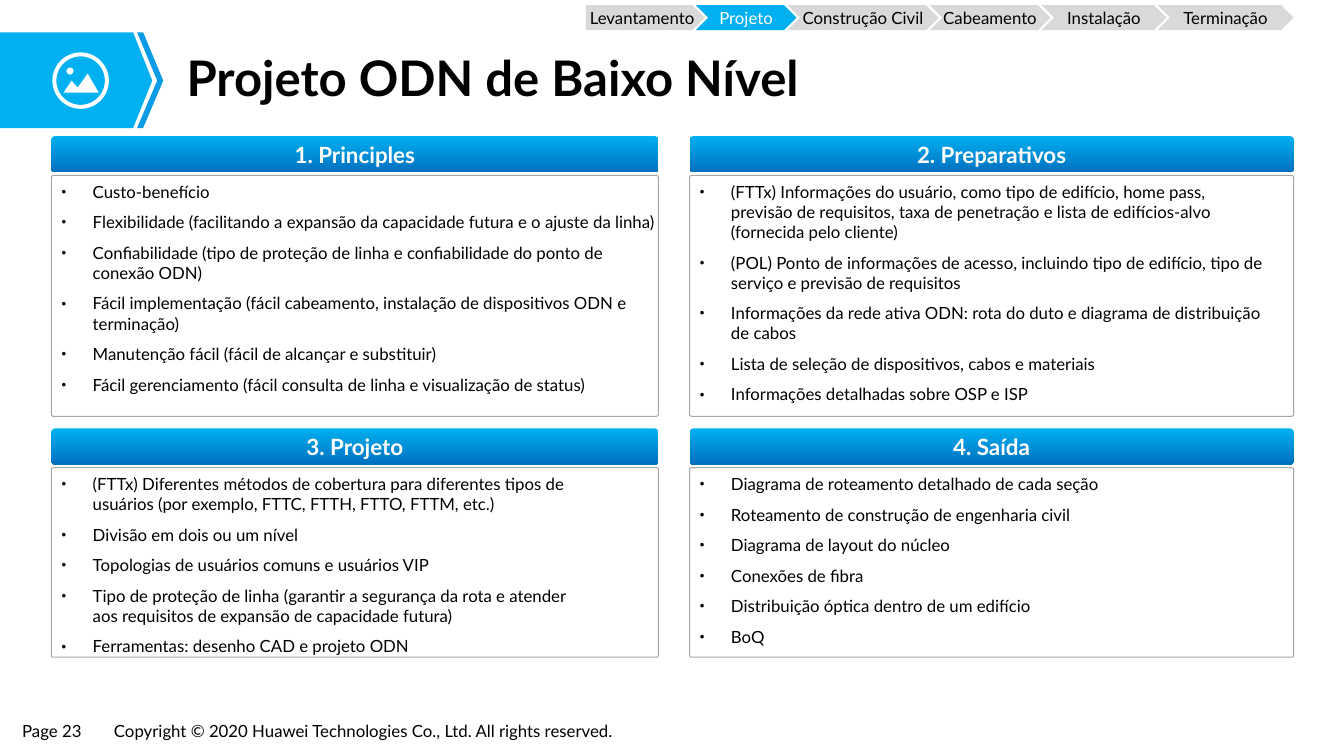
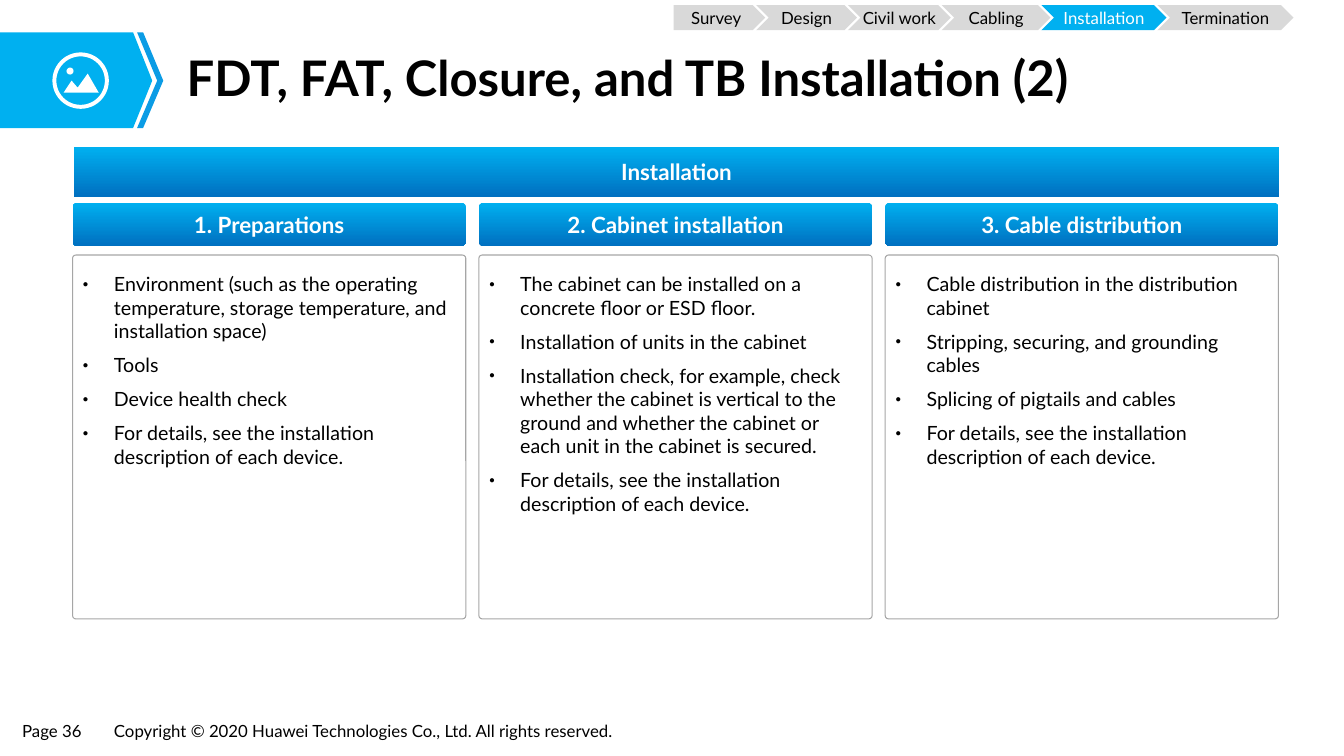
import pptx
import pptx.dml.color
import pptx.enum.shapes
import pptx.enum.text
import pptx.oxml.ns
import pptx.util
from lxml import etree

Inches = pptx.util.Inches
Pt = pptx.util.Pt
SHAPE = pptx.enum.shapes.MSO_SHAPE
ALIGN = pptx.enum.text.PP_ALIGN
ANCHOR = pptx.enum.text.MSO_ANCHOR

FONT = "Lato"
BLACK, WHITE = "000000", "FFFFFF"
SKY, SKY_EDGE, DEEP_BLUE = "00B0F0", "0B9CE5", "0070C0"
STEP_GREY, PANEL_GREY = "D9D9D9", "A6A6A6"
COMPARISON_LAYOUT = 4

STEP_OVERLAP = 0.09
LIST_INDENT = 0.31

COPYRIGHT = "Copyright © 2020 Huawei Technologies Co., Ltd. All rights reserved."

PROJECT_STEPS = [("Levantamento", 1.18), ("Projeto", 1), ("Construção Civil", 1.5),
                 ("Cabeamento", 1.2), ("Instalação", 1.24), ("Terminação", 1.35)]
INSTALLATION_STEPS = [("Survey", 0.91), ("Design", 1), ("Civil work", 1.02),
                      ("Cabling", 1.08), ("Installation", 1.24), ("Termination", 1.35)]

# Each card: heading, width of its list, list items
PROJECT_CARDS = [
    ("1. Principles", 6.15, [
        "Custo-benefício",
        "Flexibilidade (facilitando a expansão da capacidade futura e o ajuste da linha)",
        "Confiabilidade (tipo de proteção de linha e confiabilidade do ponto de conexão ODN)",
        "Fácil implementação (fácil cabeamento, instalação de dispositivos ODN e terminação)",
        "Manutenção fácil (fácil de alcançar e substituir)",
        "Fácil gerenciamento (fácil consulta de linha e visualização de status)",
    ]),
    ("2. Preparativos", 5.84, [
        "(FTTx) Informações do usuário, como tipo de edifício, home pass, previsão de "
        "requisitos, taxa de penetração e lista de edifícios-alvo (fornecida pelo cliente)",
        "(POL) Ponto de informações de acesso, incluindo tipo de edifício, tipo de serviço "
        "e previsão de requisitos",
        "Informações da rede ativa ODN: rota do duto e diagrama de distribuição de cabos",
        "Lista de seleção de dispositivos, cabos e materiais",
        "Informações detalhadas sobre OSP e ISP",
    ]),
    ("3. Projeto", 5.47, [
        "(FTTx) Diferentes métodos de cobertura para diferentes tipos de usuários "
        "(por exemplo, FTTC, FTTH, FTTO, FTTM, etc.)",
        "Divisão em dois ou um nível",
        "Topologias de usuários comuns e usuários VIP",
        "Tipo de proteção de linha (garantir a segurança da rota e atender aos requisitos "
        "de expansão de capacidade futura)",
        "Ferramentas: desenho CAD e projeto ODN",
    ]),
    ("4. Saída", 5.84, [
        "Diagrama de roteamento detalhado de cada seção",
        "Roteamento de construção de engenharia civil",
        "Diagrama de layout do núcleo",
        "Conexões de fibra",
        "Distribuição óptica dentro de um edifício",
        "BoQ",
    ]),
]
SEE_DETAILS = "For details, see the installation description of each device."
INSTALLATION_CARDS = [
    ("1. Preparations", 3.86, [
        "Environment (such as the operating temperature, storage temperature, and "
        "installation space)",
        "Tools",
        "Device health check",
        SEE_DETAILS,
    ]),
    ("2. Cabinet installation", 3.86, [
        "The cabinet can be installed on a concrete floor or ESD floor.",
        "Installation of units in the cabinet",
        "Installation check, for example, check whether the cabinet is vertical to the "
        "ground and whether the cabinet or each unit in the cabinet is secured.",
        SEE_DETAILS,
    ]),
    ("3. Cable distribution", 3.86, [
        "Cable distribution in the distribution cabinet",
        "Stripping, securing, and grounding cables",
        "Splicing of pigtails and cables",
        SEE_DETAILS,
    ]),
]


def rgb(color):
    return pptx.dml.color.RGBColor.from_string(color)


def add_bullet(para):
    properties = para._p.get_or_add_pPr()
    properties.set("marL", str(Inches(LIST_INDENT)))
    properties.set("indent", str(-Inches(LIST_INDENT)))
    for tag, name, value in (("a:buSzPct", "val", "50000"),
                             ("a:buFont", "typeface", "Arial"),
                             ("a:buChar", "char", "●")):
        etree.SubElement(properties, pptx.oxml.ns.qn(tag)).set(name, value)


def write_text(shape, lines, *, size=12, color=BLACK, bold=False, align=ALIGN.LEFT,
               anchor=ANCHOR.TOP, margins=(0.1, 0.05), wrap=True, bullets=False,
               space_before=0, line_spacing=1.0):
    """Fill a shape with one paragraph per line, all in one format."""
    frame = shape.text_frame
    frame.auto_size = pptx.enum.text.MSO_AUTO_SIZE.NONE
    frame.word_wrap = wrap
    frame.vertical_anchor = anchor
    frame.margin_left = frame.margin_right = Inches(margins[0])
    frame.margin_top = frame.margin_bottom = Inches(margins[1])
    for index, line in enumerate(lines):
        para = frame.add_paragraph() if index else frame.paragraphs[0]
        if bullets:
            add_bullet(para)
        para.alignment = align
        para.line_spacing = line_spacing
        para.space_before = Pt(space_before if index else 0)
        span = para.add_run()
        span.text = line
        span.font.name = FONT
        span.font.size = Pt(size)
        span.font.bold = bold
        span.font.color.rgb = rgb(color)


def place(shape, left, top, width, height):
    shape.left, shape.top = Inches(left), Inches(top)
    shape.width, shape.height = Inches(width), Inches(height)


def paint(shape, fill):
    shape.shadow.inherit = False
    shape.line.fill.background()
    shape.fill.solid()
    shape.fill.fore_color.rgb = rgb(fill)


def add_preset(slide, kind, left, top, width, height, fill, corner=None):
    shape = slide.shapes.add_shape(kind, Inches(left), Inches(top),
                                   Inches(width), Inches(height))
    paint(shape, fill)
    if corner is not None:
        shape.adjustments[0] = corner
    return shape


def add_outline(slide, points, fill):
    start, *others = [(Inches(x), Inches(y)) for x, y in points]
    builder = slide.shapes.build_freeform(*start)
    builder.add_line_segments(others, close=True)
    paint(builder.convert_to_shape(), fill)


def add_gradient_bar(slide, text, left, top, width, height, rounded=True):
    kind, corner = (SHAPE.ROUNDED_RECTANGLE, 0.106) if rounded else (SHAPE.RECTANGLE, None)
    bar = add_preset(slide, kind, left, top, width, height, SKY, corner)
    bar.fill.gradient()
    bar.fill.gradient_angle = 270
    for stop, color in zip(bar.fill.gradient_stops, (SKY, DEEP_BLUE)):
        stop.color.rgb = rgb(color)
    write_text(bar, [text], size=16, color=WHITE, bold=True,
               align=ALIGN.CENTER, anchor=ANCHOR.MIDDLE)


def add_panel(slide, left, top, width, height):
    panel = add_preset(slide, SHAPE.ROUNDED_RECTANGLE, left, top, width, height, WHITE, 0.009)
    panel.fill.background()
    panel.line.color.rgb = rgb(PANEL_GREY)
    panel.line.width = Pt(0.75)


def add_card(slide, body, card, left, top, width, *, bar_height, panel_offset,
             panel_height, list_offset, size):
    """Draw a heading bar over an outlined panel and set its list in a body placeholder."""
    heading, list_width, items = card
    panel_top = top + panel_offset
    add_gradient_bar(slide, heading, left, top, width, bar_height)
    add_panel(slide, left, panel_top, width, panel_height)
    place(body, left, panel_top + list_offset, list_width, panel_height - list_offset)
    write_text(body, items, size=size, bullets=True, space_before=7.4)


def add_banner(slide):
    """Draw the blue arrow with its landscape icon."""
    top, middle, bottom = 0.32, 0.8, 1.27
    add_outline(slide, [(0, top), (1.32, top), (1.51, middle), (1.32, bottom), (0, bottom)], SKY)
    add_outline(slide, [(1.36, top), (1.42, top), (1.62, middle), (1.42, bottom),
                        (1.36, bottom), (1.56, middle)], SKY_EDGE)
    add_preset(slide, SHAPE.DONUT, 0.52, 0.52, 0.56, 0.56, WHITE, 0.07)
    add_preset(slide, SHAPE.OVAL, 0.66, 0.67, 0.07, 0.07, WHITE)
    add_outline(slide, [(0.63, 0.92), (0.71, 0.8), (0.77, 0.87), (0.87, 0.73), (0.98, 0.92)],
                WHITE)


def add_footer(slide, page_number):
    for text, left, width in ((f"Page {page_number}", 0.13, 0.81), (COPYRIGHT, 1.04, 5.41)):
        box = slide.shapes.add_textbox(Inches(left), Inches(7.11), Inches(width), Inches(0.29))
        write_text(box, [text], margins=(0.09, 0.04), wrap=False)


def add_steps(slide, steps, left, current):
    """Draw the progress arrows, with the current step highlighted."""
    for index, (label, width) in enumerate(steps):
        fill, color = (SKY, WHITE) if label == current else (STEP_GREY, BLACK)
        kind = SHAPE.CHEVRON if index else SHAPE.PENTAGON
        step = add_preset(slide, kind, left, 0.05, width, 0.25, fill)
        write_text(step, [label], color=color, align=ALIGN.CENTER,
                   anchor=ANCHOR.MIDDLE, margins=(0, 0))
        left += width - STEP_OVERLAP


def add_page(deck, title, page_number, list_count):
    """Add a slide with the shared frame; return it with its list placeholders."""
    slide = deck.slides.add_slide(deck.slide_layouts[COMPARISON_LAYOUT])
    heading, *bodies = slide.placeholders
    place(heading, 1.74, 0.45, 10.75, 0.7)
    write_text(heading, [title], size=35, bold=True, anchor=ANCHOR.MIDDLE,
               margins=(0.11, 0.06), line_spacing=0.9)
    for unused in bodies[list_count:]:
        unused.element.getparent().remove(unused.element)
    add_banner(slide)
    add_footer(slide, page_number)
    return slide, bodies[:list_count]


def add_project_slide(deck):
    slide, bodies = add_page(deck, "Projeto ODN de Baixo Nível", 23, len(PROJECT_CARDS))
    columns = [(0.51, 6.02), (6.84, 5.99)]
    rows = [(1.35, 2.39), (4.25, 1.88)]
    for index, (body, card) in enumerate(zip(bodies, PROJECT_CARDS)):
        row, column = divmod(index, len(columns))
        left, width = columns[column]
        top, panel_height = rows[row]
        add_card(slide, body, card, left, top, width, bar_height=0.36, panel_offset=0.39,
                 panel_height=panel_height, list_offset=0.01, size=12)
    add_steps(slide, PROJECT_STEPS, 5.81, "Projeto")


def add_installation_slide(deck):
    slide, bodies = add_page(deck, "FDT, FAT, Closure, and TB Installation (2)", 36,
                             len(INSTALLATION_CARDS))
    add_gradient_bar(slide, "Installation", 0.73, 1.46, 11.96, 0.49, rounded=False)
    for index, (body, card) in enumerate(zip(bodies, INSTALLATION_CARDS)):
        add_card(slide, body, card, 0.72 + 4.03 * index, 2.01, 3.9, bar_height=0.43,
                 panel_offset=0.52, panel_height=3.61, list_offset=0.12, size=14)
    add_steps(slide, INSTALLATION_STEPS, 6.68, "Installation")


def main():
    deck = pptx.Presentation()
    deck.slide_width, deck.slide_height = Inches(13.33), Inches(7.5)
    add_project_slide(deck)
    add_installation_slide(deck)
    deck.save("out.pptx")


if __name__ == "__main__":
    main()
